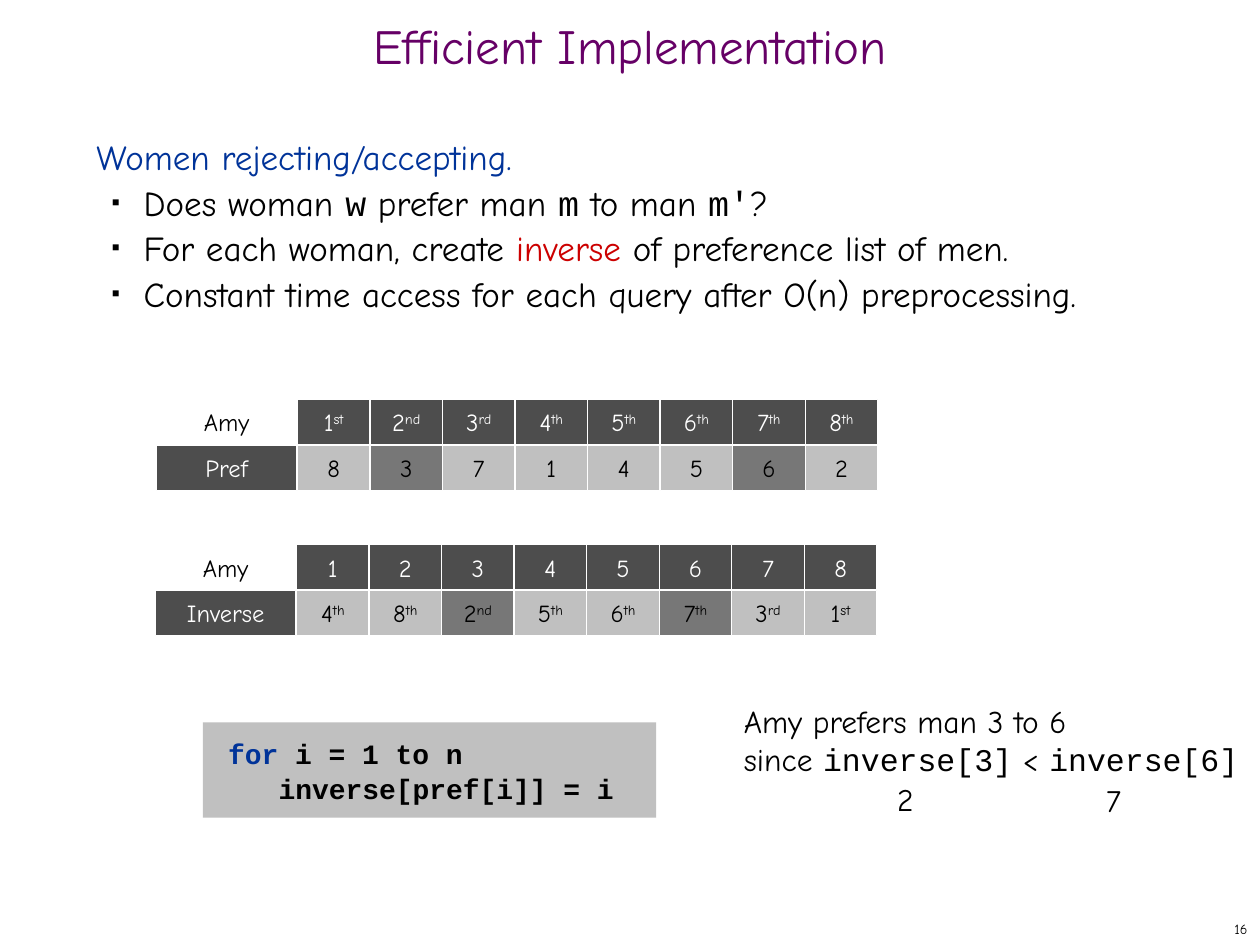
from lxml.etree import SubElement
from pptx import Presentation
from pptx.dml.color import RGBColor
from pptx.enum.shapes import MSO_SHAPE
from pptx.enum.text import MSO_ANCHOR, PP_ALIGN
from pptx.oxml.ns import qn
from pptx.util import Pt

HUES = {
    "white": "FFFFFF", "black": "000000", "plum": "660066", "blue": "003399",
    "red": "CC0000", "dark": "4D4D4D", "mid": "777777", "pale": "C0C0C0",
}
SANS, MONO = "Comic Neue", "Courier New"


def hue(name):
    return RGBColor.from_string(HUES[name])


def put(rows, rect, size=14, ink="black", font=SANS, bold=False, fill=None,
        edge=None, align=PP_ALIGN.LEFT, anchor=MSO_ANCHOR.TOP, wrap=False,
        lead=None, pad=(7.2, 3.6, 7.2, 3.6)):
    area = [Pt(n) for n in rect]
    if fill or edge:
        box = slide.shapes.add_shape(MSO_SHAPE.RECTANGLE, *area)
        box.shadow.inherit = False
    else:
        box = slide.shapes.add_textbox(*area)
    if fill:
        box.fill.solid()
        box.fill.fore_color.rgb = hue(fill)
    else:
        box.fill.background()
    if edge:
        box.line.color.rgb = hue(edge)
        box.line.width = Pt(0.75)
    else:
        box.line.fill.background()
    frame = box.text_frame
    frame.word_wrap, frame.vertical_anchor = wrap, anchor
    frame.margin_left, frame.margin_top, frame.margin_right, frame.margin_bottom = map(Pt, pad)
    for i, row in enumerate(rows):
        para = frame.add_paragraph() if i else frame.paragraphs[0]
        para.alignment, para.line_spacing = align, lead
        for text, look in row:
            if text == "\n":
                para.add_line_break()
                continue
            run = para.add_run()
            run.text = text
            run.font.size = Pt(size)
            run.font.name = look.get("font", font)
            run.font.bold = bold
            run.font.color.rgb = hue(look.get("ink", ink))
            if "base" in look:
                run.font._element.set("baseline", str(look["base"] * 1000))
    return box


deck = Presentation()
deck.slide_width, deck.slide_height = Pt(720), Pt(540)
slide = deck.slides.add_slide(deck.slide_layouts[6])
code, red, blue = {"font": MONO}, {"ink": "red"}, {"ink": "blue"}

put([[("16", {})]], (570, 522, 150, 18), size=8, align=PP_ALIGN.RIGHT, anchor=MSO_ANCHOR.MIDDLE)
put([[("Efficient Implementation", {})]], (0, 12, 720, 36), size=28, ink="plum",
    align=PP_ALIGN.CENTER, anchor=MSO_ANCHOR.MIDDLE, wrap=True, lead=0.7)

body = put([
    [("Women rejecting/accepting.", blue)],
    [("Does woman ", {}), ("w", code), (" prefer man ", {}), ("m", code),
     (" to man ", {}), ("m'", code), ("?", {})],
    [("For each woman, create ", {}), ("inverse", red), (" of preference list of men.", {})],
    [("Constant time access for each query after O(n) preprocessing.", {})],
], (48, 72, 641, 426), size=20, wrap=True, lead=Pt(26))
for para in body.text_frame.paragraphs[1:]:
    para.level = 1
    props = para._p.get_or_add_pPr()
    props.set("marL", str(Pt(27)))
    props.set("indent", str(Pt(-18)))
    SubElement(SubElement(props, qn("a:buClr")), qn("a:srgbClr"), val=HUES["black"])
    SubElement(props, qn("a:buSzPct"), val="35000")
    SubElement(props, qn("a:buFont"), typeface="Arial")
    SubElement(props, qn("a:buChar"), char="■")

loop = put([
    [("for", blue), (" i = 1 to n", {})],
    [("inverse[pref[i]] = i", {})],
], (116, 412.75, 259, 54.5), size=16, font=MONO, bold=True, fill="pale", wrap=True,
    lead=Pt(20), pad=(14.4, 7.2, 10.8, 7.2))
loop.text_frame.paragraphs[1]._p.get_or_add_pPr().set("marL", str(Pt(28.8)))

ends = {"1": "st", "2": "nd", "3": "rd"}
ranks = [(n, ends.get(n, "th")) for n in "12345678"]
grids = [
    (89.5, 228.25, "Pref", ranks, [(n, "") for n in "83714562"], (1, 6)),
    (89, 311.25, "Inverse", [(n, "") for n in "12345678"],
     [(n, ends.get(n, "th")) for n in "48256731"], (2, 5)),
]
wide, high, side = 41.45, 26, 80
for left, top, name, head, vals, marks in grids:
    cells = [(left, top, side, "Amy", "", None, "black"),
             (left, top + high, side, name, "", "dark", "white")]
    for i in range(8):
        x = left + side + 0.5 + i * wide
        cells.append((x, top, wide, *head[i], "dark", "white"))
        cells.append((x, top + high, wide, *vals[i], "mid" if i in marks else "pale", "black"))
    for x, y, w, text, end, fill, ink in cells:
        row = [(text, {})] + ([(end, {"base": 30})] if end else [])
        put([row], (x, y, w, high), ink=ink, fill=fill, edge="white",
            align=PP_ALIGN.CENTER, anchor=MSO_ANCHOR.MIDDLE)

put([[("Amy prefers man 3 to 6", {}), ("\n", {}), ("since ", {}), ("inverse[3]", code),
      (" < ", {}), ("inverse[6]", code)]], (418, 397.5, 297.5, 50.5), size=18)
for text, x, y in [("2", 505.5, 442.25), ("7", 625, 442.75)]:
    put([[(text, {})]], (x, y, 23.5, 29), size=18)

deck.save("out.pptx")
